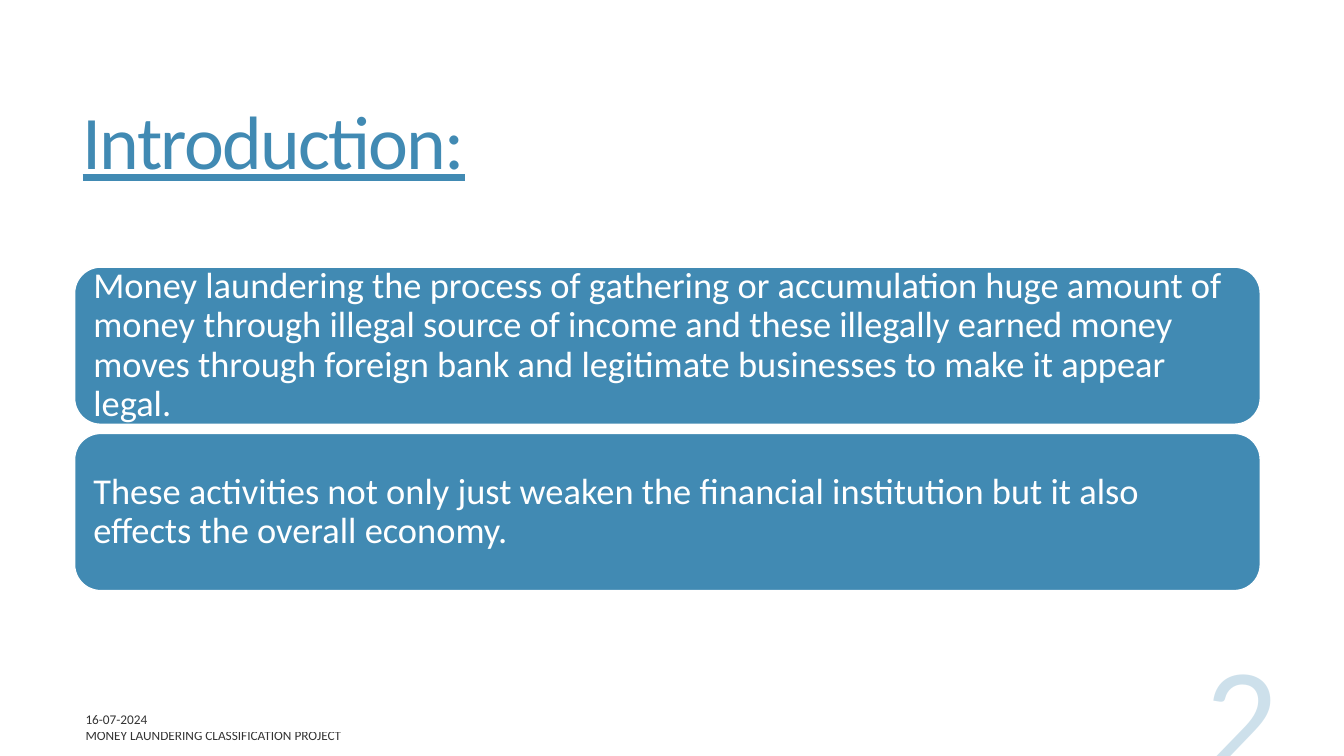
from lxml import etree
from pptx import Presentation
from pptx.dml.color import RGBColor
from pptx.enum import shapes, text
from pptx.oxml import ns
from pptx.util import Inches, Pt

BLUE = RGBColor(0x41, 0x8A, 0xB3)
WHITE = RGBColor(0xFF, 0xFF, 0xFF)
BLACK = RGBColor(0, 0, 0)
FONT = "Calibri"

POINTS = [
    "Money laundering the process of gathering or accumulation huge amount of "
    "money through illegal source of income and these illegally earned money "
    "moves through foreign bank and legitimate businesses to make it appear legal.",
    "These activities not only just weaken the financial institution but it also "
    "effects the overall economy.",
]


def write(sp, content, size, color, align=text.PP_ALIGN.LEFT,
          anchor=text.MSO_ANCHOR.MIDDLE, line_spacing=None,
          underline=None, tracking=None, alpha=None):
    """Put one formatted paragraph into a shape."""
    tf = sp.text_frame
    tf.word_wrap = True
    tf.vertical_anchor = anchor
    p = tf.paragraphs[0]
    p.alignment = align
    p.line_spacing = line_spacing
    r = p.add_run()
    r.text = content
    r.font.name = FONT
    r.font.size = Pt(size)
    r.font.color.rgb = color
    r.font.underline = underline
    rPr = r.font._element
    if tracking is not None:
        rPr.set("spc", str(round(tracking * 100)))
    if alpha is not None:
        clr = rPr.find(ns.qn("a:solidFill")).find(ns.qn("a:srgbClr"))
        etree.SubElement(clr, ns.qn("a:alpha")).set("val", str(alpha * 1000))
    return tf


def add_text(slide, box, content, **fmt):
    sp = slide.shapes.add_textbox(*map(Inches, box))
    write(sp, content, **fmt)


def add_title(slide, box):
    add_text(slide, box, "Introduction:", size=54, color=BLUE,
             line_spacing=0.85, underline=True, tracking=-1.2)


def add_cards(slide, box, points, gap):
    """Stack equal rounded cards, one for each point."""
    left, top, width, height = box
    card_h = (height - gap * (len(points) - 1)) / len(points)
    for i, point in enumerate(points):
        sp = slide.shapes.add_shape(
            shapes.MSO_SHAPE.ROUNDED_RECTANGLE, Inches(left),
            Inches(top + i * (card_h + gap)), Inches(width), Inches(card_h))
        sp.shadow.inherit = False
        sp.fill.solid()
        sp.fill.fore_color.rgb = BLUE
        sp.line.color.rgb = WHITE
        sp.line.width = Pt(1)
        tf = write(sp, point, size=26, color=WHITE, line_spacing=0.9)
        tf.margin_left = tf.margin_right = Inches(0.11)
        tf.margin_top = tf.margin_bottom = Inches(0.11)


def add_footer(slide, box):
    left, top, width, height = box
    small = dict(size=9.5, color=BLACK, alpha=80)

    # Date and project name
    add_text(slide, (left, top + 0.58, 4.5, 0.25), "16-07-2024", **small)
    add_text(slide, (left, top + 0.74, 5.5, 0.25),
             "MONEY LAUNDERING CLASSIFICATION PROJECT", **small)

    # Large page number
    number_w = 3.2
    add_text(slide, (left + width - number_w, top, number_w, height), "2",
             size=103, color=BLUE, alpha=25,
             align=text.PP_ALIGN.RIGHT, anchor=text.MSO_ANCHOR.BOTTOM)


def main():
    prs = Presentation()
    prs.slide_width, prs.slide_height = Inches(13.33), Inches(7.5)
    slide = prs.slides.add_slide(prs.slide_layouts[6])
    add_title(slide, (0.72, 0.55, 11.78, 1.81))
    add_cards(slide, (0.74, 2.65, 11.76, 3.21), POINTS, gap=0.09)
    add_footer(slide, (0.75, 6.43, 12.03, 1.53))
    prs.save("out.pptx")


if __name__ == "__main__":
    main()
